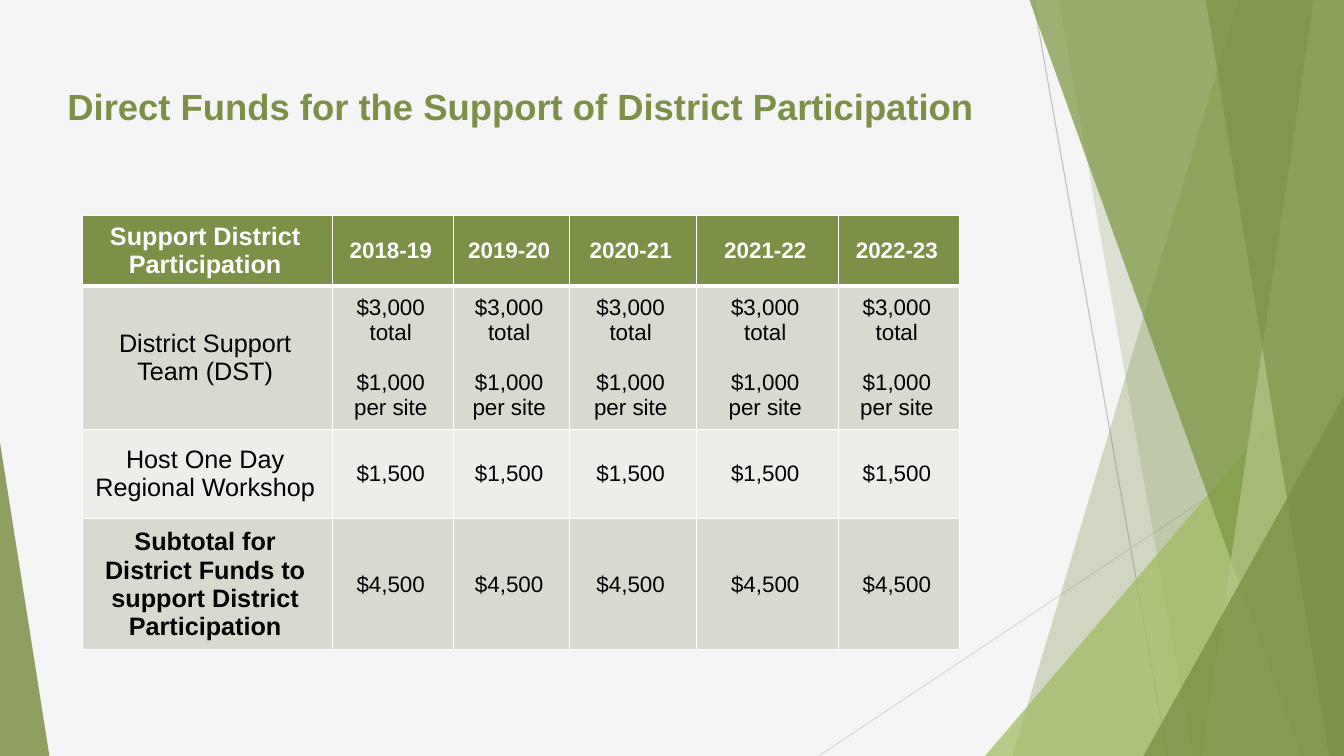
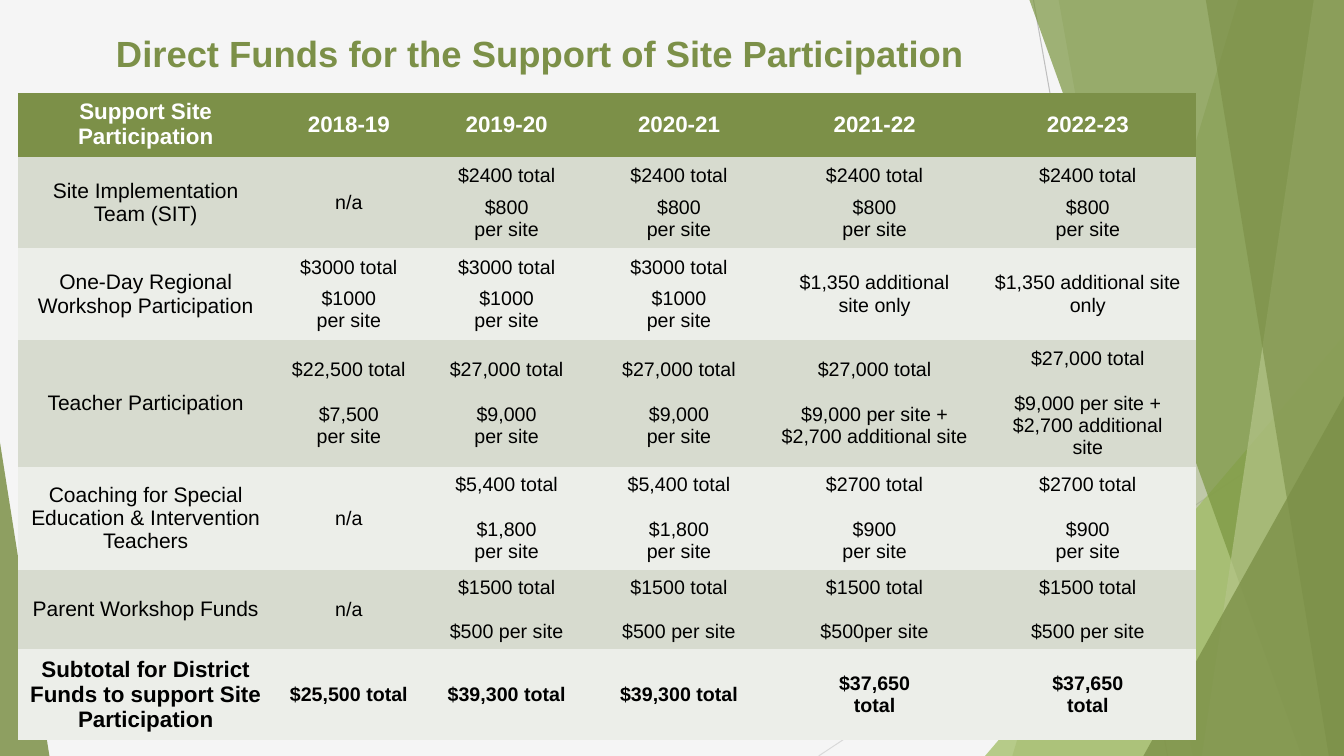
from lxml import etree
from pptx import Presentation
from pptx.dml.color import RGBColor
from pptx.enum import shapes, text
from pptx.oxml import ns
from pptx.util import Inches, Pt

COLORS = {
    "paper": "F5F5F5", "olive": "7C9048", "leaf": "9FBB60", "moss": "7A9540",
    "pale": "B4C489", "ray_dark": "BFBFBF", "ray_light": "D9D9D9",
    "band_dark": "D7DBCF", "band_light": "ECEEE9", "white": "FFFFFF", "black": "000000",
}
FONT = "Arial"
WIDTH, HEIGHT = 13.33, 7.5
NO_GRID_STYLE = "{2D5ABB26-0587-4C30-8999-92F81FD0307C}"
YEARS = ["2018-19", "2019-20", "2020-21", "2021-22", "2022-23"]

RAYS = [("ray_dark", 10.25, 0, 11.58, HEIGHT), ("ray_light", WIDTH, 4.03, 8.12, HEIGHT)]
FACETS = [
    ("band", "olive", 30, (12.28, 10.04)),
    ("band", "olive", 20, (10.5, 11.83)),
    ("triangle", "leaf", 72, (9.77, 3.33, 3.56, 1)),
    ("band", "moss", 70, (10.21, 12.91)),
    ("band", "pale", 70, (13.03, 11.92)),
    ("band", "olive", 65, (11.96, 13.18)),
    ("triangle", "olive", 80, (11.34, 3.93, 1.99, 1)),
    ("triangle", "olive", 85, (0, 4.39, 0.49, 0)),
]

SITE_800 = "$2400 total\n$800\nper site"
SITE_1000 = "$3000 total\n$1000\nper site"
SITE_9000 = "$27,000 total\n$9,000\nper site"
SITE_1800 = "$5,400 total\n$1,800\nper site"
SITE_900 = "$2700 total\n$900\nper site"
SITE_500 = "$1500 total\n$500 per site"

PAGES = [
    {
        "title": "Direct Funds for the Support of District Participation",
        "title_at": (0.5, 0.75),
        "table_at": (0.82, 2.14),
        "columns": [2.48, 1.2, 1.15, 1.26, 1.41, 1.2],
        "heights": [0.66, 1.33, 0.89, 1.22],
        "gaps": [0, 18, 0, 0],
        "label_sizes": [18, 18, 18, 18],
        "year_size": 16,
        "amount_size": 16,
        "bold_amounts": False,
        "grid": True,
        "rows": [
            ["Support District Participation"] + YEARS,
            ["District Support Team (DST)"] + ["$3,000\ntotal\n$1,000\nper site"] * 5,
            ["Host One Day\nRegional Workshop"] + ["$1,500"] * 5,
            ["Subtotal for District Funds to support District Participation"] + ["$4,500"] * 5,
        ],
    },
    {
        "title": "Direct Funds for the Support of Site Participation",
        "title_at": (0.69, 0.23),
        "table_at": (0.18, 0.92),
        "columns": [2.58, 1.45, 1.68, 1.74, 2.14, 2.09],
        "heights": [0.61, 0.91, 0.91, 1.23, 0.98, 0.75, 0.84],
        "gaps": [0, 7, 7, 16, 16, 16, 0],
        "label_sizes": [16, 15, 15, 15, 15, 15, 16],
        "year_size": 16,
        "amount_size": 14,
        "bold_amounts": True,
        "grid": False,
        "rows": [
            ["Support Site Participation"] + YEARS,
            ["Site Implementation Team (SIT)", "n/a"] + [SITE_800] * 4,
            ["One-Day Regional Workshop Participation"] + [SITE_1000] * 3
            + ["$1,350 additional\nsite only", "$1,350 additional site only"],
            ["Teacher Participation", "$22,500 total\n$7,500\nper site", SITE_9000, SITE_9000,
             "$27,000 total\n$9,000 per site +  $2,700 additional site".replace("  ", " "),
             "$27,000 total\n$9,000 per site + $2,700 additional\nsite"],
            ["Coaching for Special Education & Intervention Teachers", "n/a",
             SITE_1800, SITE_1800, SITE_900, SITE_900],
            ["Parent Workshop Funds", "n/a", SITE_500, SITE_500,
             "$1500 total\n$500per site", SITE_500],
            ["Subtotal for District Funds to support Site Participation", "$25,500 total",
             "$39,300 total", "$39,300 total", "$37,650\ntotal", "$37,650\ntotal"],
        ],
    },
]


def rgb(name):
    return RGBColor.from_string(COLORS[name])


def write(frame, content, size, color, bold, gap=0):
    frame.text = content
    for index, paragraph in enumerate(frame.paragraphs):
        paragraph.alignment = text.PP_ALIGN.CENTER
        if index and paragraph.text.startswith("$"):
            paragraph.space_before = Pt(gap)
        for run in paragraph.runs:
            run.font.name = FONT
            run.font.size = Pt(size)
            run.font.bold = bold
            run.font.color.rgb = rgb(color)


deck = Presentation()
deck.slide_width, deck.slide_height = Inches(WIDTH), Inches(HEIGHT)

for page in PAGES:
    slide = deck.slides.add_slide(deck.slide_layouts[6])
    slide.background.fill.solid()
    slide.background.fill.fore_color.rgb = rgb("paper")

    for color, *ends in RAYS:
        ray = slide.shapes.add_connector(shapes.MSO_CONNECTOR.STRAIGHT, *map(Inches, ends))
        ray.line.color.rgb = rgb(color)
        ray.line.width = Pt(0.75)
        etree.SubElement(ray.element.spPr, ns.qn("a:effectLst"))

    for kind, color, opacity, geometry in FACETS:
        if kind == "band":
            top_x, bottom_x = geometry
            outline = slide.shapes.build_freeform(Inches(top_x), 0)
            corners = [(WIDTH, 0), (WIDTH, HEIGHT), (bottom_x, HEIGHT)]
            outline.add_line_segments([(Inches(x), Inches(y)) for x, y in corners])
            facet = outline.convert_to_shape()
        else:
            left, top, width, apex = geometry
            facet = slide.shapes.add_shape(
                shapes.MSO_SHAPE.ISOSCELES_TRIANGLE,
                Inches(left), Inches(top), Inches(width), Inches(HEIGHT - top))
            facet.adjustments[0] = apex
        facet.shadow.inherit = False
        facet.line.fill.background()
        facet.fill.solid()
        facet.fill.fore_color.rgb = rgb(color)
        tint = facet.element.spPr.find(ns.qn("a:solidFill"))[0]
        etree.SubElement(tint, ns.qn("a:alpha"), val=str(opacity * 1000))

    left, top = page["title_at"]
    title = slide.shapes.add_textbox(Inches(left), Inches(top), Inches(9.34), Inches(0.6))
    title.text_frame.word_wrap = True
    title.text_frame.vertical_anchor = text.MSO_ANCHOR.MIDDLE
    write(title.text_frame, page["title"], 26, "olive", True)

    rows, columns, heights = page["rows"], page["columns"], page["heights"]
    left, top = page["table_at"]
    frame = slide.shapes.add_table(
        len(rows), len(columns), Inches(left), Inches(top),
        Inches(sum(columns)), Inches(sum(heights)))
    funds = frame.table
    funds.horz_banding = False
    funds._tbl.tblPr.find(ns.qn("a:tableStyleId")).text = NO_GRID_STYLE
    for column, width in zip(funds.columns, columns):
        column.width = Inches(width)

    for r, row in enumerate(rows):
        funds.rows[r].height = Inches(heights[r])
        header, subtotal = r == 0, r == len(rows) - 1
        band = "olive" if header else "band_dark" if r % 2 else "band_light"
        for c, content in enumerate(row):
            cell = funds.cell(r, c)
            cell.vertical_anchor = text.MSO_ANCHOR.MIDDLE
            cell.margin_left, cell.margin_right = Inches(0.08), Inches(0.13)
            if page["grid"]:
                for side in "LRTB":
                    heavy = (header and side == "B") or (r == 1 and side == "T")
                    border = etree.SubElement(
                        cell._tc.get_or_add_tcPr(), ns.qn(f"a:ln{side}"),
                        w=str(Pt(3 if heavy else 1)))
                    paint = etree.SubElement(border, ns.qn("a:solidFill"))
                    etree.SubElement(paint, ns.qn("a:srgbClr"), val=COLORS["white"])
            cell.fill.solid()
            cell.fill.fore_color.rgb = rgb(band)
            if c == 0:
                size = page["label_sizes"][r]
            else:
                size = page["year_size"] if header else page["amount_size"]
            bold = header or (subtotal and (c == 0 or page["bold_amounts"]))
            write(cell.text_frame, content, size, "white" if header else "black",
                  bold, page["gaps"][r])

deck.save("out.pptx")
